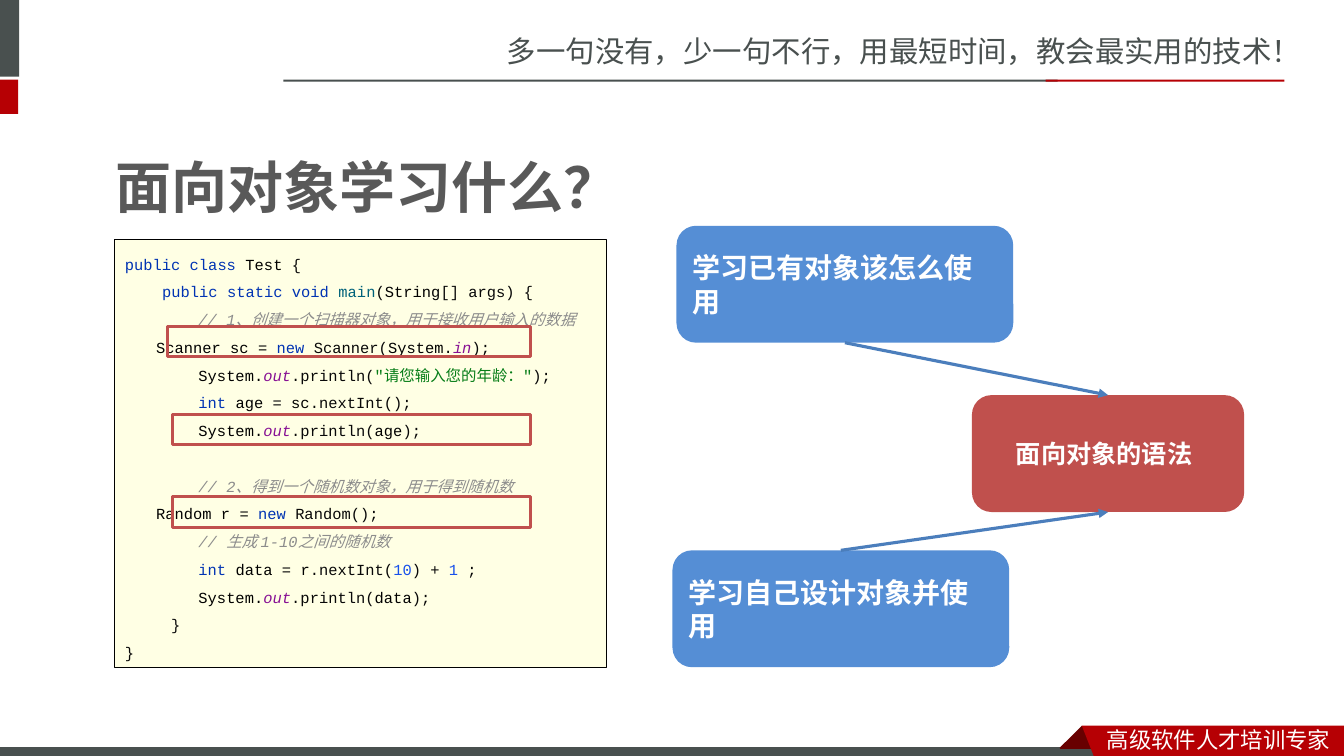
from lxml.etree import SubElement
from pptx import Presentation
from pptx.dml.color import RGBColor
from pptx.enum.shapes import MSO_CONNECTOR, MSO_SHAPE
from pptx.enum.text import MSO_ANCHOR, MSO_AUTO_SIZE, PP_ALIGN
from pptx.oxml.ns import qn
from pptx.util import Inches, Pt

SLATE = RGBColor(0x49, 0x50, 0x4F)
RED = RGBColor(0xB6, 0x00, 0x04)
DARK_RED = RGBColor(0x68, 0x00, 0x00)
WHITE = RGBColor(0xFF, 0xFF, 0xFF)
BLACK = RGBColor(0x00, 0x00, 0x00)
TITLE_GRAY = RGBColor(0x59, 0x59, 0x59)
BLUE = RGBColor(0x55, 0x8E, 0xD5)
BRICK = RGBColor(0xC0, 0x50, 0x4D)
ARROW_BLUE = RGBColor(0x4B, 0x7E, 0xBC)
CREAM = RGBColor(0xFF, 0xFF, 0xE4)
KEYWORD = RGBColor(0x00, 0x33, 0xB3)
METHOD = RGBColor(0x00, 0x62, 0x7A)
PLAIN = RGBColor(0x08, 0x08, 0x08)
COMMENT = RGBColor(0x8C, 0x8C, 0x8C)
FIELD = RGBColor(0x87, 0x10, 0x94)
STRING = RGBColor(0x06, 0x7D, 0x17)
NUMBER = RGBColor(0x17, 0x50, 0xEB)
SANS_SC, SANS_JP, MONO = "Noto Sans CJK SC", "Noto Sans CJK JP", "Courier New"


def write(para, text, size, color, font=SANS_JP, east=None, bold=False, italic=False):
    span = para.add_run()
    span.text = text
    span.font.size = Pt(size)
    span.font.bold = bold
    span.font.italic = italic
    span.font.color.rgb = color
    span.font.name = font
    SubElement(span.font._element, qn("a:ea")).set("typeface", east or font)


def style(shape, fill=None, line=None, width=0.75):
    shape.shadow.inherit = False
    if fill is None:
        shape.fill.background()
    else:
        shape.fill.solid()
        shape.fill.fore_color.rgb = fill
    if line is None:
        shape.line.fill.background()
    else:
        shape.line.color.rgb = line
        shape.line.width = Pt(width)
    return shape


deck = Presentation()
deck.slide_width, deck.slide_height = Inches(13.33), Inches(7.5)
page = deck.slides.add_slide(deck.slide_layouts[5])
shapes = page.shapes

# Header and footer bars
for left, top, width, height, fill, line in [
    (0, 0, 0.19, 0.76, SLATE, None),
    (0, 0.79, 0.18, 0.34, RED, None),
    (2.81, 0.79, 7.68, 0.02, SLATE, None),
    (10.37, 0.79, 2.37, 0.02, RED, None),
    (-0.01, 7.41, 11, 0.12, SLATE, WHITE),
]:
    bar = shapes.add_shape(MSO_SHAPE.RECTANGLE, Inches(left), Inches(top),
                           Inches(width), Inches(height))
    style(bar, fill, line)

# Footer ribbon and its fold
for fill, outline in [
    (DARK_RED, [(10.73, 7.2), (10.95, 7.42), (10.94, 7.43), (10.52, 7.43), (10.51, 7.42)]),
    (RED, [(10.73, 7.2), (13.33, 7.2), (13.33, 7.54), (10.86, 7.53)]),
]:
    corners = [(Inches(x), Inches(y)) for x, y in outline]
    builder = shapes.build_freeform(*corners[0])
    builder.add_line_segments(corners[1:], close=True)
    style(builder.convert_to_shape(), fill)

# Header and footer slogans
for left, top, width, height, text, size, color in [
    (4.93, 0.28, 8.4, 0.47, "多一句没有，少一句不行，用最短时间，教会最实用的技术！", 21, SLATE),
    (10.88, 7.15, 2.45, 0.37, "高级软件人才培训专家", 16, WHITE),
]:
    slogan = shapes.add_textbox(Inches(left), Inches(top), Inches(width), Inches(height))
    slogan.text_frame.word_wrap = True
    write(slogan.text_frame.paragraphs[0], text, size, color, font=SANS_SC)

# Title
title = shapes.title
title.left, title.top = Inches(1.05), Inches(1.46)
title.width, title.height = Inches(9.86), Inches(0.77)
title.text_frame.auto_size = MSO_AUTO_SIZE.NONE
title.text_frame.vertical_anchor = MSO_ANCHOR.MIDDLE
title_para = title.text_frame.paragraphs[0]
title_para.alignment = PP_ALIGN.LEFT
write(title_para, "面向对象学习什么？", 40, TITLE_GRAY, bold=True)

# Code listing: indent in inches, then coloured pieces
PRINT = [("System.", BLACK), ("out", FIELD), (".println(", PLAIN)]
CODE = [
    (0, [("public class ", KEYWORD), ("Test ", BLACK), ("{", PLAIN)]),
    (0.37, [("public static void ", KEYWORD), ("main", METHOD), ("(", PLAIN),
            ("String", BLACK), ("[] args) {", PLAIN)]),
    (0.73, [("// 1、创建一个扫描器对象，用于接收用户输入的数据", COMMENT)]),
    (0.31, [("Scanner sc ", BLACK), ("= ", PLAIN), ("new ", KEYWORD), ("Scanner(", PLAIN),
            ("System", BLACK), (".", PLAIN), ("in", FIELD), (");", PLAIN)]),
    (0.73, PRINT + [("\"请您输入您的年龄：\"", STRING), (");", PLAIN)]),
    (0.73, [("int ", KEYWORD), ("age ", BLACK), ("= ", PLAIN), ("sc", BLACK),
            (".nextInt();", PLAIN)]),
    (0.73, PRINT + [("age", BLACK), (");", PLAIN)]),
    (0.73, [("// 2、得到一个随机数对象，用于得到随机数", COMMENT)]),
    (0.31, [("Random r ", BLACK), ("= ", PLAIN), ("new ", KEYWORD), ("Random();", PLAIN)]),
    (0.73, [("// 生成 1-10之间的随机数", COMMENT)]),
    (0.73, [("int ", KEYWORD), ("data ", BLACK), ("= ", PLAIN), ("r", BLACK),
            (".nextInt(", PLAIN), ("10", NUMBER), (") + ", PLAIN), ("1 ", NUMBER),
            (";", PLAIN)]),
    (0.73, PRINT + [("data", BLACK), (");", PLAIN)]),
    (0.46, [("}", PLAIN)]),
    (0, [("}", PLAIN)]),
]
LINE_PITCH = Pt(19.8)
SECOND_PART = 7

listing = style(shapes.add_shape(MSO_SHAPE.RECTANGLE, Inches(1.14), Inches(2.38),
                                 Inches(4.88), Inches(4.24)), CREAM, BLACK)
frame = listing.text_frame
frame.word_wrap = True
frame.vertical_anchor = MSO_ANCHOR.MIDDLE
for number, (indent, pieces) in enumerate(CODE):
    para = frame.add_paragraph() if number else frame.paragraphs[0]
    para.alignment = PP_ALIGN.LEFT
    para.line_spacing = LINE_PITCH
    if number == SECOND_PART:
        para.space_before = LINE_PITCH
    para._p.get_or_add_pPr().set("marL", str(Inches(indent)))
    for text, color in pieces:
        write(para, text, 11, color, font=MONO, east=SANS_SC,
              italic=color in (COMMENT, FIELD))

# Red frames around the key statements
for left, top, width in [(1.66, 3.24, 3.6), (1.71, 4.11, 3.55), (1.71, 4.93, 3.55)]:
    mark = shapes.add_shape(MSO_SHAPE.RECTANGLE, Inches(left), Inches(top),
                            Inches(width), Inches(0.3))
    style(mark, line=BRICK, width=2.25)

# Topic boxes
topics = []
for left, top, width, fill, text, size, inset in [
    (6.71, 2.24, 3.34, BLUE, "学习已有对象该怎么使用", 20, 0.1),
    (6.67, 5.46, 3.34, BLUE, "学习自己设计对象并使用", 20, 0.1),
    (9.64, 3.92, 2.7, BRICK, "面向对象的语法", 18, 0.38),
]:
    topic = style(shapes.add_shape(MSO_SHAPE.ROUNDED_RECTANGLE, Inches(left), Inches(top),
                                   Inches(width), Inches(1.16)), fill)
    topic.text_frame.word_wrap = True
    topic.text_frame.vertical_anchor = MSO_ANCHOR.MIDDLE
    topic.text_frame.margin_left = Inches(inset)
    topic_para = topic.text_frame.paragraphs[0]
    topic_para.alignment = PP_ALIGN.LEFT
    write(topic_para, text, size, WHITE, bold=True)
    topics.append(topic)

# Arrows from the blue topics to the syntax box
use_topic, design_topic, syntax_topic = topics
for source, source_side, target_side in [(use_topic, 2, 0), (design_topic, 0, 2)]:
    arrow = shapes.add_connector(MSO_CONNECTOR.STRAIGHT, 0, 0, 0, 0)
    arrow.begin_connect(source, source_side)
    arrow.end_connect(syntax_topic, target_side)
    arrow.line.color.rgb = ARROW_BLUE
    arrow.line.width = Pt(2.25)
    SubElement(arrow.line._get_or_add_ln(), qn("a:tailEnd")).set("type", "triangle")
    SubElement(arrow._element.spPr, qn("a:effectLst"))

deck.save("out.pptx")
